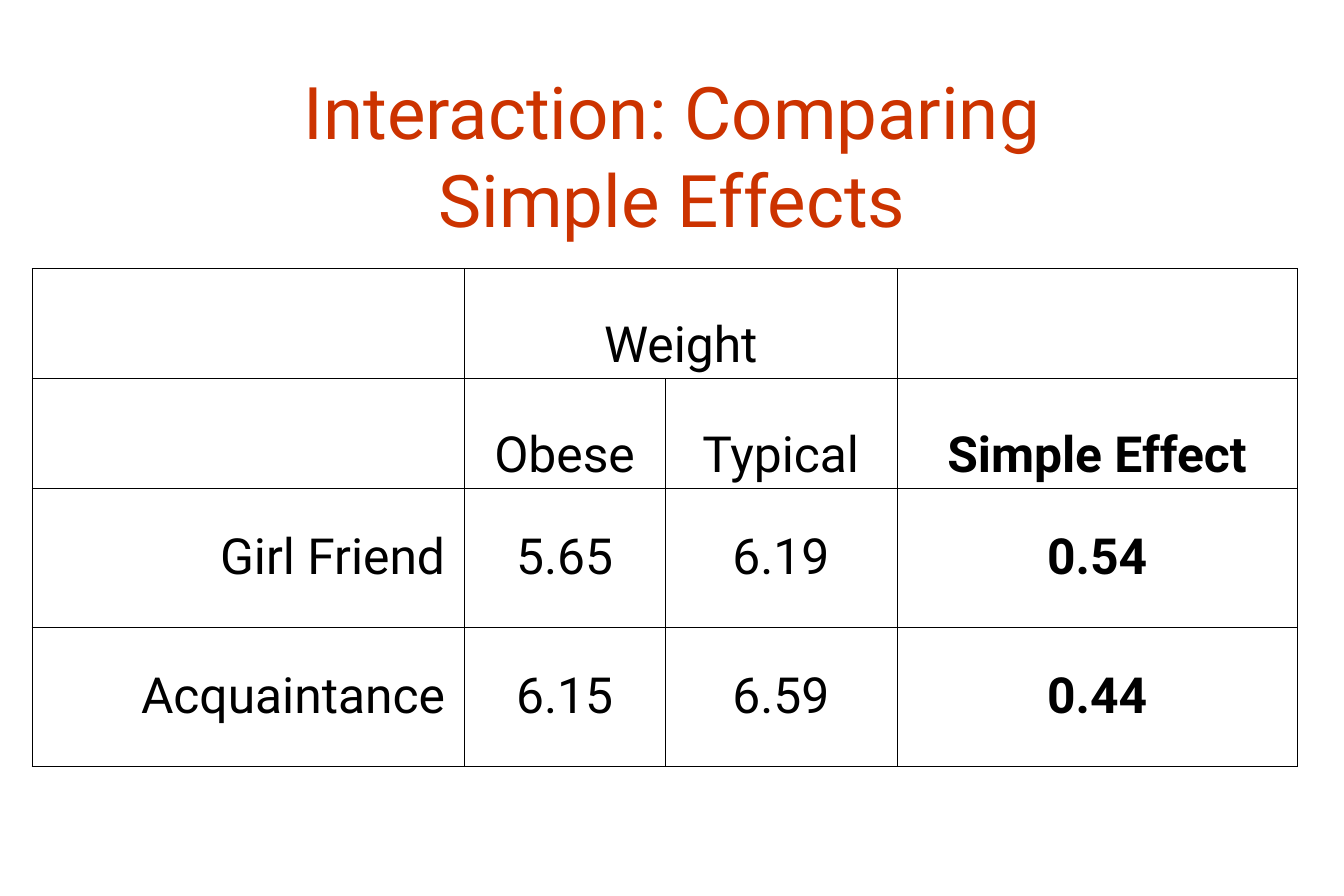
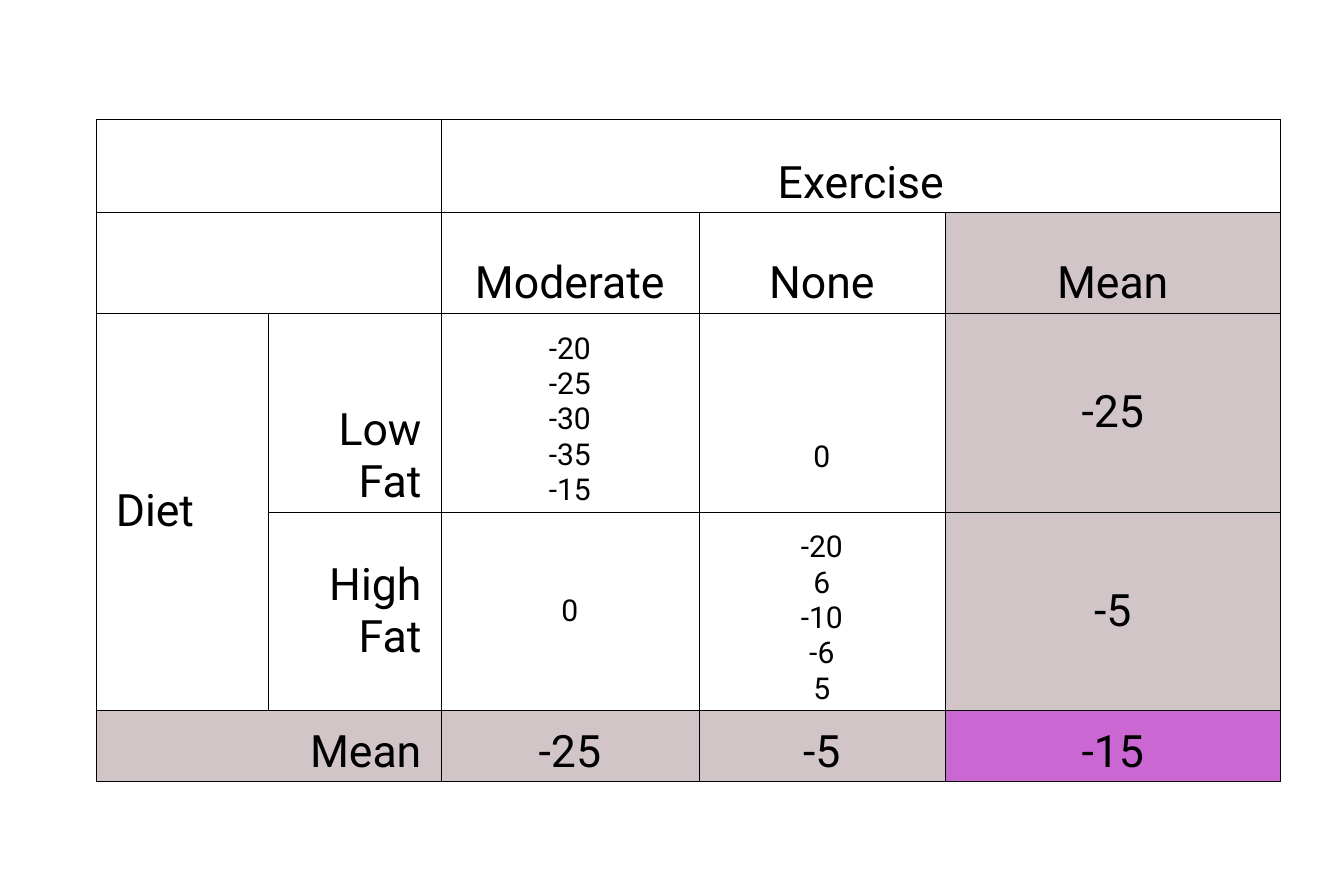
from pptx import Presentation
from pptx.dml.color import RGBColor
from pptx.enum.text import MSO_ANCHOR as ANCHOR, PP_ALIGN as ALIGN
from pptx.oxml.ns import qn
from pptx.util import Pt
from lxml.etree import SubElement

FONT = "Roboto"
BLACK, TITLE_RED, MEAN_GREY, GRAND_MEAN_PURPLE = "000000", "CC3300", "D2C5C8", "CB67D2"
INNER_LINE, OUTER_LINE = Pt(0.45), Pt(1.08)


def set_font(paragraph, size, color=BLACK, bold=False):
    font = paragraph.font
    font.name, font.size, font.bold = FONT, Pt(size), bold
    font.color.rgb = RGBColor.from_string(color)


def add_grid(slide, left, top, widths, heights, rows, merges, size, label_columns):
    """Add an unfilled ruled table; label columns align right, two header rows sit low."""
    table = slide.shapes.add_table(len(heights), len(widths), Pt(left), Pt(top),
                                   Pt(sum(widths)), Pt(sum(heights))).table
    table.first_row = table.horz_banding = False
    for column, width in zip(table.columns, widths):
        column.width = Pt(width)
    for row, height in zip(table.rows, heights):
        row.height = Pt(height)
    for first, last in merges:
        table.cell(*first).merge(table.cell(*last))

    for r, texts in enumerate(rows):
        for c, text in enumerate(texts):
            cell = table.cell(r, c)
            spans = (cell.span_height, cell.span_width) if cell.is_merge_origin else (1, 1)
            outer_sides = {"lnL": c == 0, "lnR": c + spans[1] == len(widths),
                           "lnT": r == 0, "lnB": r + spans[0] == len(heights)}
            borders = cell._tc.get_or_add_tcPr()
            for side, is_outer in outer_sides.items():
                line = SubElement(borders, qn(f"a:{side}"), w=str(OUTER_LINE if is_outer else INNER_LINE))
                SubElement(SubElement(line, qn("a:solidFill")), qn("a:srgbClr"), val=BLACK)
            cell.fill.background()
            cell.margin_left = cell.margin_right = Pt(18.7)
            cell.margin_top = cell.margin_bottom = Pt(3.6)
            cell.vertical_anchor = ANCHOR.BOTTOM if r < 2 else ANCHOR.MIDDLE
            if text:
                cell.text = text
                paragraph = cell.text_frame.paragraphs[0]
                paragraph.alignment = ALIGN.RIGHT if c < label_columns else ALIGN.CENTER
                set_font(paragraph, size)
    return table


deck = Presentation()
deck.slide_width, deck.slide_height = Pt(1296), Pt(864)
blank = deck.slide_layouts[6]

# Simple effects of weight
effects_slide = deck.slides.add_slide(blank)
title = effects_slide.shapes.add_textbox(Pt(97), Pt(77), Pt(1102), Pt(144)).text_frame
title.word_wrap = True
title.vertical_anchor = ANCHOR.MIDDLE
title.margin_left = title.margin_right = Pt(11.5)
title.margin_top = title.margin_bottom = Pt(5.75)
title.text = "Interaction: Comparing\vSimple Effects"
title.paragraphs[0].alignment = ALIGN.CENTER
set_font(title.paragraphs[0], 70, TITLE_RED)

effects = add_grid(
    effects_slide, 31, 259, [417, 193, 224, 386], [106, 106, 134, 134],
    [["", "Weight", "", ""],
     ["", "Obese", "Typical", "Simple Effect"],
     ["Girl Friend", "5.65", "6.19", "0.54"],
     ["Acquaintance", "6.15", "6.59", "0.44"]],
    [((0, 1), (0, 2))], size=48, label_columns=1)
for r in range(1, 4):
    effects.cell(r, 3).text_frame.paragraphs[0].font.bold = True

# Diet by exercise
diet_slide = deck.slides.add_slide(blank)
diet = add_grid(
    diet_slide, 93, 115, [166, 166, 249, 237, 324], [90, 97, 191.5, 191.5, 69],
    [["", "", "Exercise", "", ""],
     ["", "", "Moderate", "None", "Mean"],
     ["Diet", "Low Fat", "-20\v-25\v-30\v-35\v-15", "0", "-25"],
     ["", "High Fat", "0", "-20\v6\v-10\v-6\v5", "-5"],
     ["Mean", "", "-25", "-5", "-15"]],
    [((0, 0), (0, 1)), ((0, 2), (0, 4)), ((1, 0), (1, 1)),
     ((2, 0), (3, 0)), ((4, 0), (4, 1))], size=43, label_columns=2)
diet.cell(2, 0).text_frame.paragraphs[0].alignment = ALIGN.LEFT

for r in (2, 3):
    for c in (2, 3):
        set_font(diet.cell(r, c).text_frame.paragraphs[0], 29)
low_cells = [(2, 1), (2, 2), (2, 3), (3, 3)] + [(4, c) for c in range(5)]
for r, c in low_cells:
    diet.cell(r, c).vertical_anchor = ANCHOR.BOTTOM
diet.cell(2, 3).margin_bottom = Pt(36)

mean_cells = [(r, 4) for r in range(1, 4)] + [(4, c) for c in range(5)]
for r, c in mean_cells:
    fill = diet.cell(r, c).fill
    fill.solid()
    fill.fore_color.rgb = RGBColor.from_string(GRAND_MEAN_PURPLE if (r, c) == (4, 4) else MEAN_GREY)

deck.save("out.pptx")
